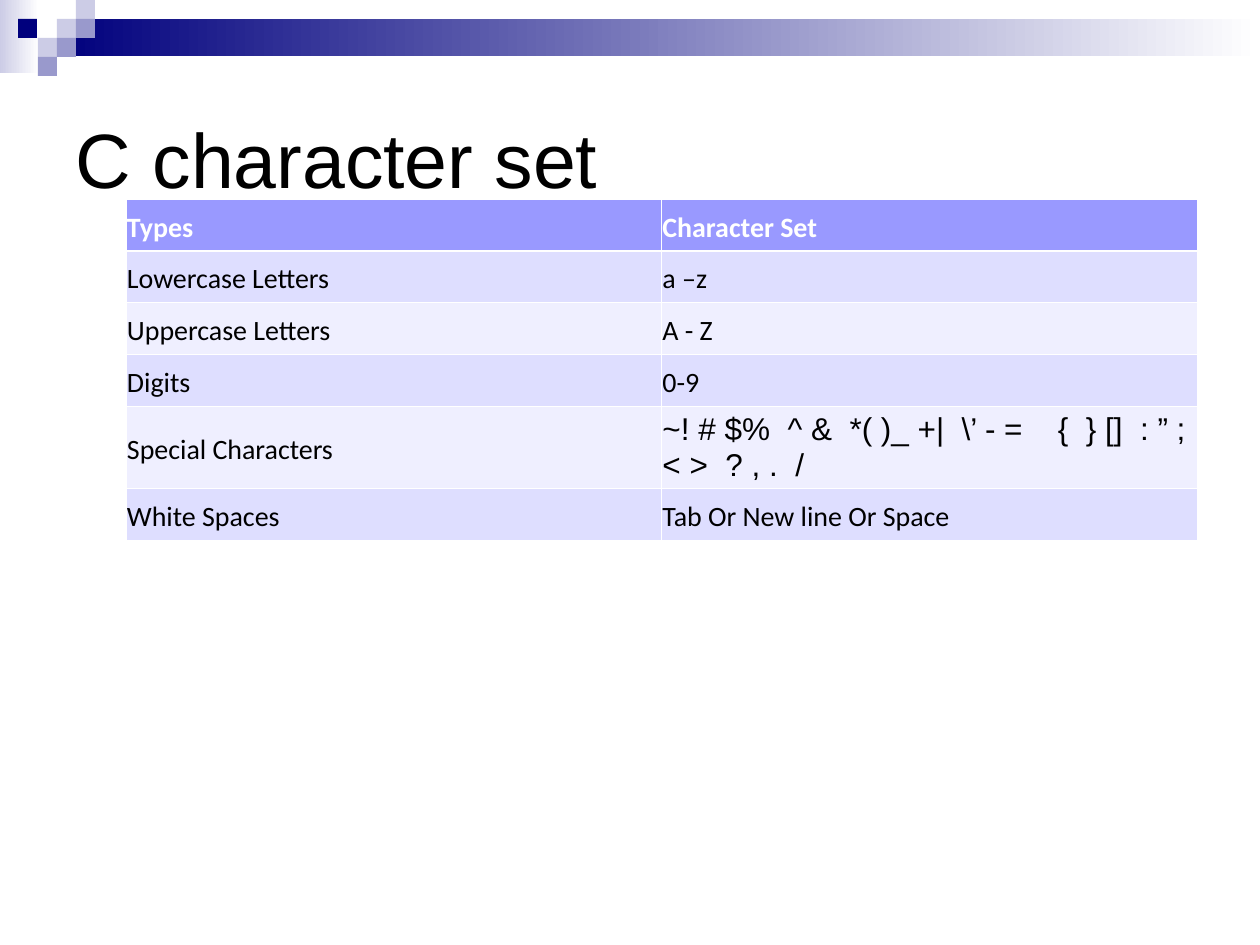
from lxml import etree
from pptx import Presentation
from pptx.dml.color import RGBColor
from pptx.enum.shapes import MSO_SHAPE
from pptx.enum.text import MSO_ANCHOR, PP_ALIGN
from pptx.oxml.ns import qn
from pptx.util import Emu, Pt

RECTANGLE = MSO_SHAPE.RECTANGLE
MIDDLE = MSO_ANCHOR.MIDDLE
LEFT = PP_ALIGN.LEFT
PX = 914400 // 126


def color(hex_value):
    return RGBColor.from_string(hex_value)


def set_border(cell, side, points):
    """Give one side of a table cell a solid white line."""
    line = etree.SubElement(cell._tc.get_or_add_tcPr(), qn(f"a:ln{side}"), w=str(Pt(points)))
    solid = etree.SubElement(line, qn("a:solidFill"))
    etree.SubElement(solid, qn("a:srgbClr"), val="FFFFFF")


prs = Presentation()
prs.slide_width, prs.slide_height = 1260 * PX, 945 * PX
slide = prs.slides.add_slide(prs.slide_layouts[5])

# Header band: two gradients, then the small squares
header = [
    (0, 0, 39, 73, ["CCCCE6", "FFFFFF"]),
    (57, 19, 1203, 37, ["00007D", "FFFFFF"]),
]
squares = [
    (57, 19, "CCCCE6"), (76, 0, "CCCCE6"), (76, 19, "9999CC"),
    (38, 38, "CCCCE6"), (18, 19, "00007D"), (57, 38, "9999CC"),
    (38, 57, "9999CC"),
]
header += [(x, y, 19, 19, [fill]) for x, y, fill in squares]
for x, y, width, height, fills in header:
    block = slide.shapes.add_shape(RECTANGLE, x * PX, y * PX, width * PX, height * PX)
    block.shadow.inherit = False
    block.line.fill.background()
    if len(fills) == 1:
        block.fill.solid()
        block.fill.fore_color.rgb = color(fills[0])
    else:
        block.fill.gradient()
        block.fill.gradient_angle = 0
        for position, (stop, fill) in enumerate(zip(block.fill.gradient_stops, fills)):
            stop.color.rgb = color(fill)
            stop.position = position

# Title
title = slide.shapes.title
title.left, title.top, title.width, title.height = [Emu(n * PX) for n in (63, 63, 1134, 189)]
title.text_frame.text = "C character set"
title.text_frame.vertical_anchor = MIDDLE
heading = title.text_frame.paragraphs[0]
heading.alignment = LEFT
for name, value in {"size": Pt(44), "name": "Arial"}.items():
    setattr(heading.font, name, value)
heading.font.color.rgb = color("000000")

# Character set table
SPECIAL = "~! # $%  ^ &  *( )_ +|  \\’ - =\t  {  } []  : ” ; < >  ? , .  /"
rows = [
    ("Types", "Character Set"),
    ("Lowercase Letters", "a –z"),
    ("Uppercase Letters", "A - Z"),
    ("Digits", "0-9"),
    ("Special Characters", SPECIAL),
    ("White Spaces", "Tab Or New line Or Space"),
]
row_heights = [52, 51, 52, 52, 78, 52]
cell_format = {
    "vertical_anchor": MIDDLE,
    "margin_left": PX, "margin_right": PX,
    "margin_top": 6 * PX, "margin_bottom": 6 * PX,
}
table = slide.shapes.add_table(
    len(rows), 2, 126 * PX, 199 * PX, 1071 * PX, sum(row_heights) * PX
).table
for r, (texts, height) in enumerate(zip(rows, row_heights)):
    table.rows[r].height = height * PX
    is_header = r == 0
    row_fill = "9999FF" if is_header else ("EFEFFF", "DEDEFF")[r % 2]
    borders = {
        "L": 0.45, "R": 0.45,
        "T": 1.47 if r == 1 else 0.45,
        "B": 1.47 if is_header else 0.45,
    }
    for c, text in enumerate(texts):
        cell = table.cell(r, c)
        cell.text = text
        for name, value in cell_format.items():
            setattr(cell, name, value)
        for side, points in borders.items():
            set_border(cell, side, points)
        cell.fill.solid()
        cell.fill.fore_color.rgb = color(row_fill)

        entry = cell.text_frame.paragraphs[0]
        entry.alignment = LEFT
        is_special = text == SPECIAL
        if not is_special:
            entry.line_spacing = 1.15
            entry.space_after = Pt(10)
        font_format = {
            "size": Pt(18 if is_special else 16),
            "name": "Arial" if is_special else "Calibri",
            "bold": is_header,
        }
        for name, value in font_format.items():
            setattr(entry.runs[0].font, name, value)
        entry.runs[0].font.color.rgb = color("FFFFFF" if is_header else "000000")

prs.save("out.pptx")
